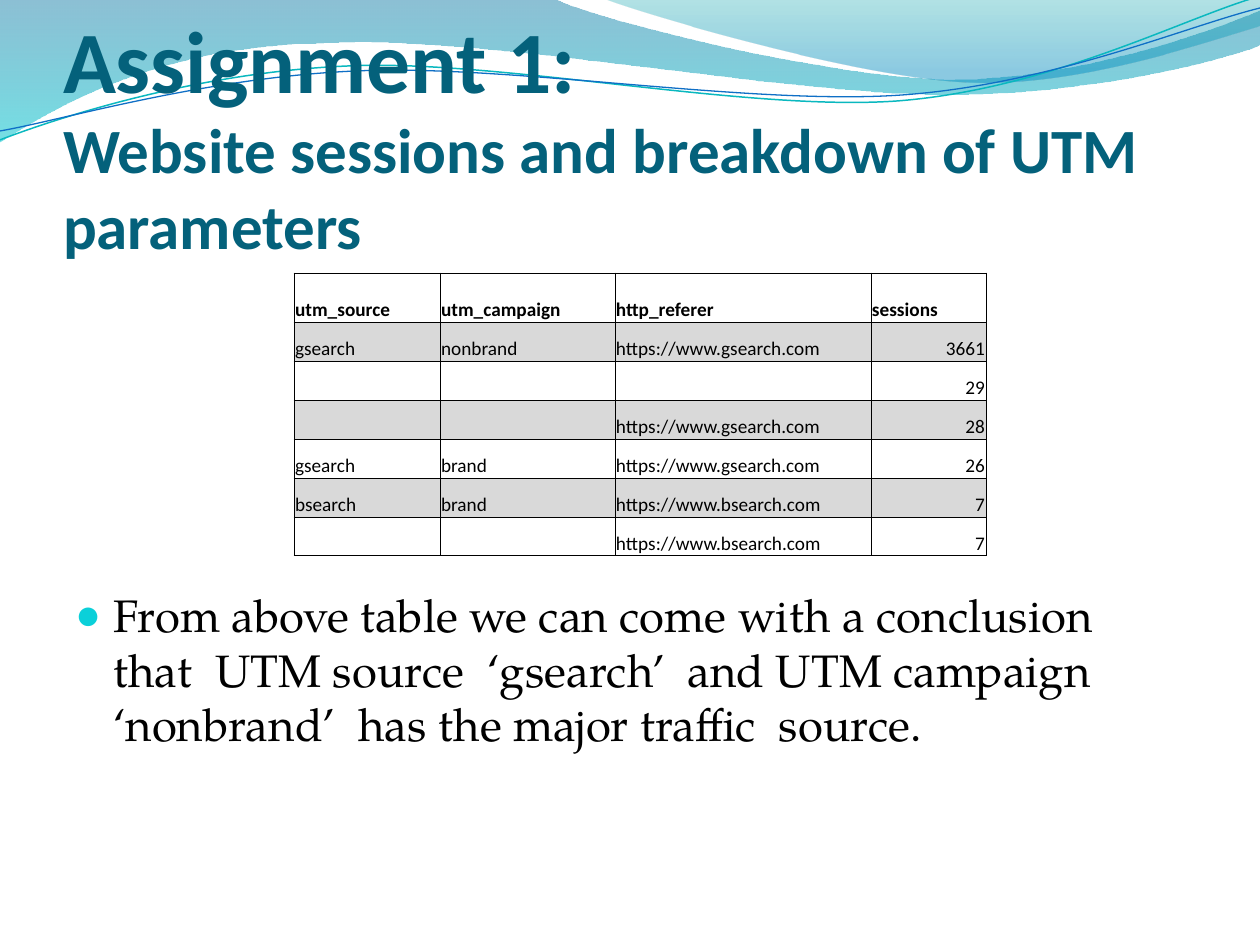
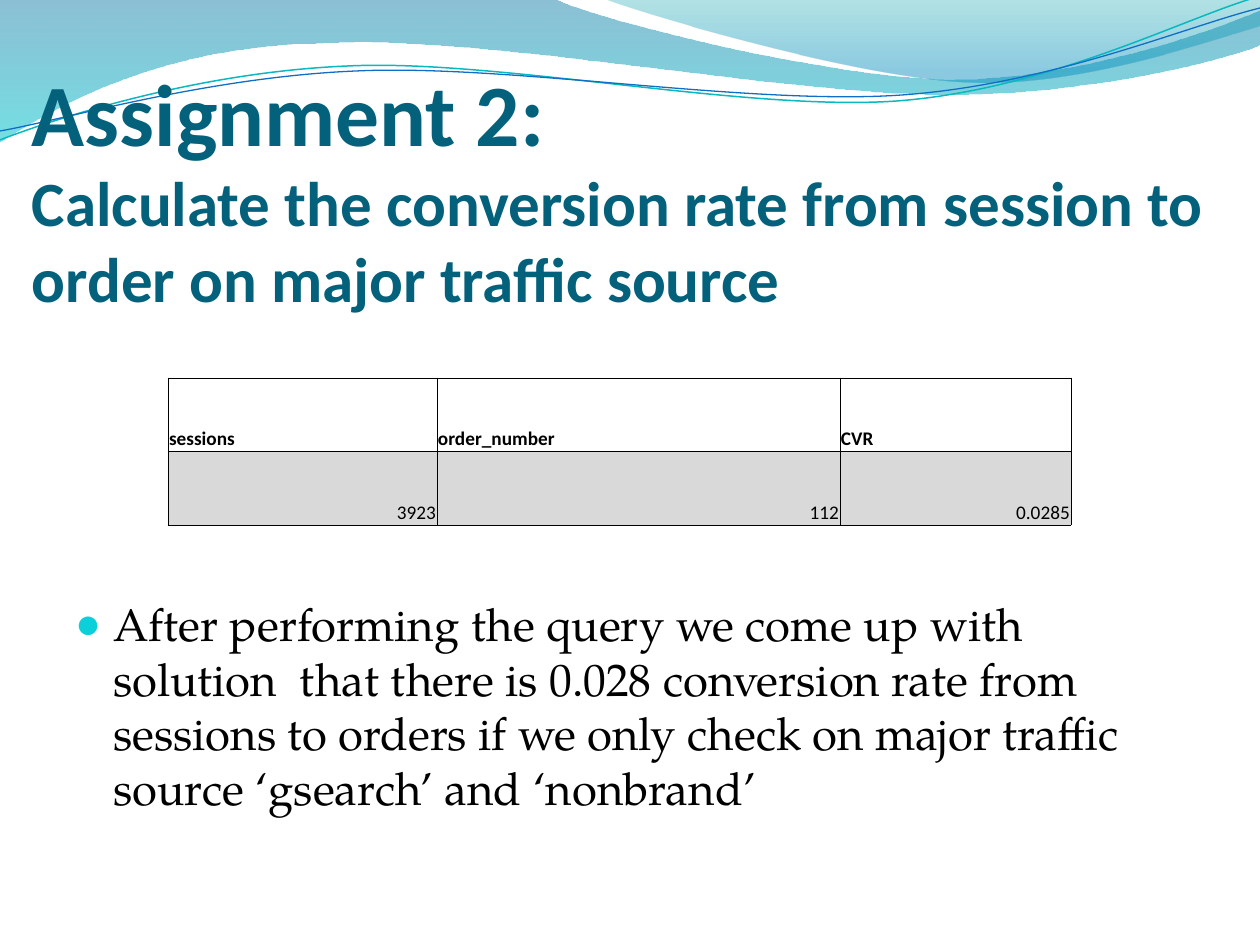
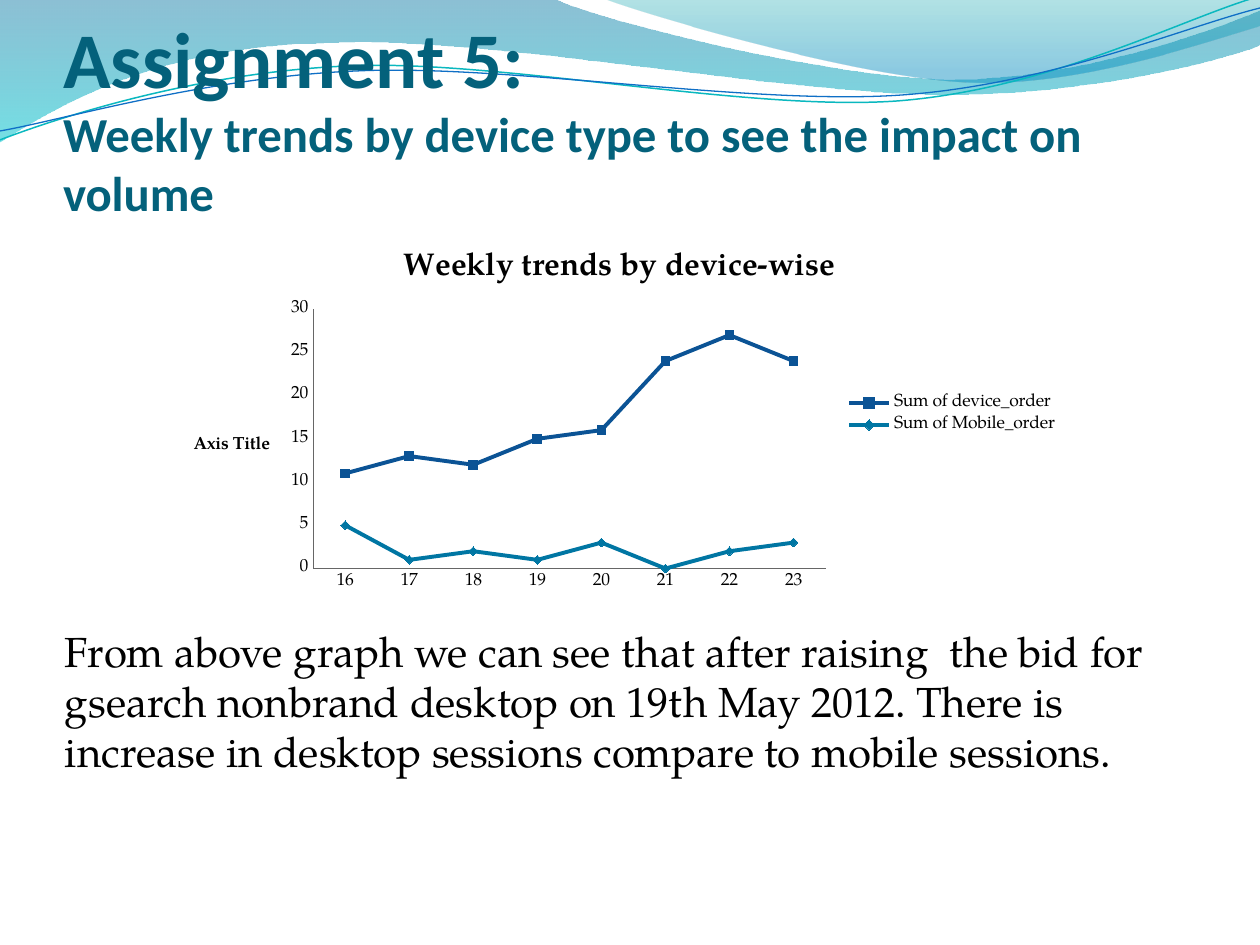
from dataclasses import dataclass
from math import cos, radians, sin

from lxml.etree import SubElement
from pptx import Presentation
from pptx.chart.data import CategoryChartData as ChartData
from pptx.dml.color import RGBColor as RGB
from pptx.enum.chart import XL_CHART_TYPE as Kind
from pptx.enum.chart import XL_LEGEND_POSITION as Legend
from pptx.enum.chart import XL_MARKER_STYLE as Mark
from pptx.enum.chart import XL_TICK_MARK as Tick
from pptx.enum.text import MSO_ANCHOR as Anchor
from pptx.enum.text import MSO_AUTO_SIZE as Fit
from pptx.enum.text import PP_ALIGN as Align
from pptx.oxml.ns import qn
from pptx.util import Pt


@dataclass(frozen=True)
class Theme:
    head: str = "Calibri"
    text: str = "TeX Gyre Pagella"
    title: str = "04617B"
    ink: str = "000000"
    dot: str = "0BD0D9"
    band: str = "D9D9D9"
    axis: str = "666666"
    lines: tuple = ("0B5395", "0076A3")
    large: tuple = (50, 36)
    small: tuple = (45, 27.9)
    body: float = 26
    note: float = 24
    cell: float = 11
    chart: float = 10
    chart_head: float = 18


T = Theme()
TILT = 2.7
FILLS = [
    ([(0, 0), (554, -1),
      [(600, 21), (837, 79), (955, 79)],
      [(1075, 79), (1207, 33), (1260, 11)],
      (1261, 45),
      [(1239, 55), (1096, 96), (940, 94)],
      [(781, 94), (481, 35), (324, 43)],
      [(163, 45), (58, 105), (-1, 142)]],
     [(0, "0074A1", 45), (1, "00C6CF", 55)]),
    ([(604, -1),
      [(641, 14), (859, 78), (969, 82)],
      [(1079, 87), (1211, 40), (1260, 26)],
      (1260, 0)],
     [(0, "00A1A9", 30), (0.8, "008BBF", 45)]),
]
CURVES = [
    ([(0, 140),
      [(60, 117), (199, 72), (349, 66)],
      [(497, 59), (747, 112), (898, 101)],
      [(1050, 89), (1182, 19), (1257, -3)]], (629, 72), "0AB8BF", 0.85),
    ([(0, 131),
      [(59, 121), (207, 77), (357, 71)],
      [(508, 64), (752, 106), (903, 95)],
      [(1053, 84), (1187, 26), (1260, 8)]], (630, 74), "0F6FC6", 0.75),
]


def px(n):
    return round(n * 914400 / 126)


def color(code):
    return RGB.from_string(code)


def style(font, name, size, code=T.ink, bold=False):
    font.name, font.bold = name, bold
    font.color.rgb = color(code)
    font.size = Pt(size)


def place(shape, box):
    shape.left, shape.top, shape.width, shape.height = map(px, box)


def inset(item, left, top, right, bottom):
    item.margin_left, item.margin_top = px(left), px(top)
    item.margin_right, item.margin_bottom = px(right), px(bottom)


def turn(spot, hub):
    x, y = spot[0] - hub[0], spot[1] - hub[1]
    c, s = cos(radians(TILT)), sin(radians(TILT))
    return hub[0] + x * c - y * s, hub[1] + x * s + y * c


def trace(slide, parts, hub=None):
    dots = []
    for part in parts:
        dots.extend(part if isinstance(part, list) else [part])
    if hub:
        dots = [turn(dot, hub) for dot in dots]
    spots = [(px(x), px(y)) for x, y in dots]
    pen = slide.shapes.build_freeform(*spots[0], scale=1.0)
    pen.add_line_segments(spots[1:], close=not hub)
    shape = pen.convert_to_shape()
    shape.shadow.inherit = False
    steps = iter(list(shape.element.iter(qn("a:lnTo"))))
    for part in parts[1:]:
        step = next(steps)
        if isinstance(part, list):
            step.tag = qn("a:cubicBezTo")
            for _ in part[1:]:
                extra = next(steps)
                step.append(extra[0])
                extra.getparent().remove(extra)
    if hub:
        shape.rotation = 360 - TILT
    return shape


def shade(shape, stops):
    fill = shape.fill
    fill.gradient()
    fill.gradient_angle = 270
    for stop, (spot, code, _) in zip(fill.gradient_stops, stops):
        stop.position = spot
        stop.color.rgb = color(code)
    tints = shape.element.spPr.iter(qn("a:srgbClr"))
    for tint, (_, _, alpha) in zip(list(tints), stops):
        SubElement(tint, qn("a:alpha"), val=str(alpha * 1000))
    shape.line.fill.background()


def add_waves(slide, master):
    waves = []
    for parts, stops in FILLS:
        wave = trace(slide, parts)
        shade(wave, stops)
        waves.append(wave)
    for parts, hub, code, width in CURVES:
        wave = trace(slide, parts, hub)
        wave.fill.background()
        wave.line.color.rgb = color(code)
        wave.line.width = Pt(width)
        waves.append(wave)
    tree = master.element.cSld.spTree
    for n, wave in enumerate(waves):
        next(wave.element.iter(qn("p:cNvPr"))).set("id", str(20 + n))
        tree.insert(2 + n, wave.element)


def add_title(slide, box, lines, sizes):
    title = slide.shapes.title
    place(title, box)
    frame = title.text_frame
    frame.auto_size, frame.word_wrap = Fit.NONE, True
    frame.vertical_anchor = Anchor.BOTTOM
    inset(frame, 0, 6, 0, 0)
    para = frame.paragraphs[0]
    para.alignment = Align.LEFT
    style(para.font, T.head, sizes[-1], T.title, True)
    for n, (line, size) in enumerate(zip(lines, sizes)):
        if n:
            para.add_line_break()
        run = para.add_run()
        run.text = line
        run.font.size = Pt(size)


def add_body(slide, box, drop, text, size=T.body, dot=True):
    body = slide.placeholders[1]
    place(body, box)
    frame = body.text_frame
    frame.auto_size, frame.word_wrap = Fit.NONE, True
    inset(frame, 12, drop, 12, 6)
    para = frame.paragraphs[0]
    para.text = text
    para.space_before = Pt(0)
    style(para.font, T.text, size)
    props = para._p.get_or_add_pPr()
    gap = px(38) if dot else 0
    props.set("marL", str(gap))
    props.set("indent", str(-gap))
    if dot:
        tint = SubElement(props, qn("a:buClr"))
        SubElement(tint, qn("a:srgbClr"), val=T.dot)
        marks = [tint, SubElement(props, qn("a:buSzPct"), val="95000"),
                 SubElement(props, qn("a:buChar"), char="●")]
    else:
        marks = [SubElement(props, qn("a:buNone"))]
    for mark in marks:
        props.find(qn("a:defRPr")).addprevious(mark)


def edge(cell):
    props = cell._tc.get_or_add_tcPr()
    for side in ("lnL", "lnR", "lnT", "lnB"):
        line = SubElement(props, qn(f"a:{side}"), w=str(Pt(0.5)))
        fill = SubElement(line, qn("a:solidFill"))
        SubElement(fill, qn("a:srgbClr"), val=T.ink)


def add_grid(slide, spot, cols, rows, data):
    box = (*spot, sum(cols), sum(rows))
    table = slide.shapes.add_table(len(rows), len(cols), *map(px, box)).table
    table.first_row = table.horz_banding = False
    for col, width in zip(table.columns, cols):
        col.width = px(width)
    for r, (row, height) in enumerate(zip(data, rows)):
        table.rows[r].height = px(height)
        for c, value in enumerate(row):
            cell = table.cell(r, c)
            edge(cell)
            if r % 2:
                cell.fill.solid()
                cell.fill.fore_color.rgb = color(T.band)
            else:
                cell.fill.background()
            inset(cell, 1, 1, 1, 0)
            cell.vertical_anchor = Anchor.BOTTOM
            para = cell.text_frame.paragraphs[0]
            if value != "":
                para.text = str(value)
            if isinstance(value, (int, float)):
                para.alignment = Align.RIGHT
            style(para.font, T.head, T.cell, bold=r == 0)


def label(title, text, size):
    para = title.text_frame.paragraphs[0]
    para.text = text
    style(para.font, T.text, size, bold=True)


def add_trend(slide, box, head, cats, sets):
    data = ChartData()
    data.categories = cats
    for name, values in sets:
        data.add_series(name, values)
    chart = slide.shapes.add_chart(Kind.LINE_MARKERS, *map(px, box), data).chart
    style(chart.font, T.text, T.chart)
    chart.has_title = True
    label(chart.chart_title, head, T.chart_head)
    chart.chart_title.include_in_layout = False
    chart.has_legend = True
    chart.legend.position = Legend.RIGHT
    chart.legend.include_in_layout = False
    for axis in (chart.category_axis, chart.value_axis):
        axis.has_major_gridlines = False
        axis.major_tick_mark = axis.minor_tick_mark = Tick.NONE
        axis.format.line.color.rgb = color(T.axis)
    scale = chart.value_axis
    scale.minimum_scale, scale.maximum_scale, scale.major_unit = 0, 30, 5
    label(scale.axis_title, "Axis Title", T.chart)
    frame = next(scale.axis_title.element.iter(qn("a:bodyPr")))
    frame.set("rot", "0")
    frame.set("vert", "horz")
    plot = chart.plots[0]
    plot.vary_by_categories = False
    for line, code, mark in zip(plot.series, T.lines, (Mark.SQUARE, Mark.DIAMOND)):
        line.smooth = False
        line.format.line.color.rgb = color(code)
        line.format.line.width = Pt(2.25)
        line.marker.style, line.marker.size = mark, 5
        line.marker.format.fill.solid()
        line.marker.format.fill.fore_color.rgb = color(code)
        line.marker.format.line.color.rgb = color(code)


def add_source(slide):
    add_title(slide, (63, 0, 1176, 262),
              ("Assignment 1: ", "Website sessions and breakdown of UTM parameters"),
              T.large)
    add_body(slide, (63, 262, 1134, 624), 325,
             "From above table we can come with a conclusion that  UTM source  "
             "‘gsearch’  and UTM campaign ‘nonbrand’  has the major traffic  source.")
    gsite, bsite = "https://www.gsearch.com", "https://www.bsearch.com"
    add_grid(slide, (294, 273), (146, 175, 256, 115), [49] + [39] * 6, [
        ("utm_source", "utm_campaign", "http_referer", "sessions"),
        ("gsearch", "nonbrand", gsite, 3661),
        ("", "", "", 29),
        ("", "", gsite, 28),
        ("gsearch", "brand", gsite, 26),
        ("bsearch", "brand", bsite, 7),
        ("", "", bsite, 7),
    ])


def add_rate(slide):
    add_title(slide, (32, 32, 1197, 283),
              ("Assignment 2: ", "Calculate the conversion rate from session to "
               "order on major traffic source"), T.large)
    add_body(slide, (63, 336, 1134, 508), 260,
             "After performing the query we come up with solution  that there is "
             "0.028 conversion rate from sessions to orders if we only check on "
             "major traffic source ‘gsearch’ and ‘nonbrand’")
    add_grid(slide, (168, 378), (269, 403, 231), (73, 74), [
        ("sessions", "order_number", "CVR"),
        (3923, 112, 0.0285),
    ])


def add_weeks(slide):
    add_title(slide, (63, 38, 1144, 183),
              ("Assignment 5: ", "Weekly trends by device type to see the impact "
               "on volume"), T.small)
    add_body(slide, (53, 242, 1134, 624), 383,
             "From above graph we can see that after raising  the bid for gsearch "
             "nonbrand desktop on 19th May 2012. There is increase in desktop "
             "sessions compare to mobile sessions.", T.note, False)
    add_trend(slide, (168, 230, 903, 368), "Weekly trends by device-wise",
              [str(week) for week in range(16, 24)],
              [("Sum of device_order", (11, 13, 12, 15, 16, 24, 27, 24)),
               ("Sum of Mobile_order", (5, 1, 2, 1, 3, 0, 2, 3))])


def main():
    deck = Presentation()
    deck.slide_width, deck.slide_height = px(1260), px(945)
    for n, build in enumerate((add_source, add_rate, add_weeks)):
        slide = deck.slides.add_slide(deck.slide_layouts[1])
        if n == 0:
            add_waves(slide, deck.slide_master)
        build(slide)
    deck.save("out.pptx")


if __name__ == "__main__":
    main()
